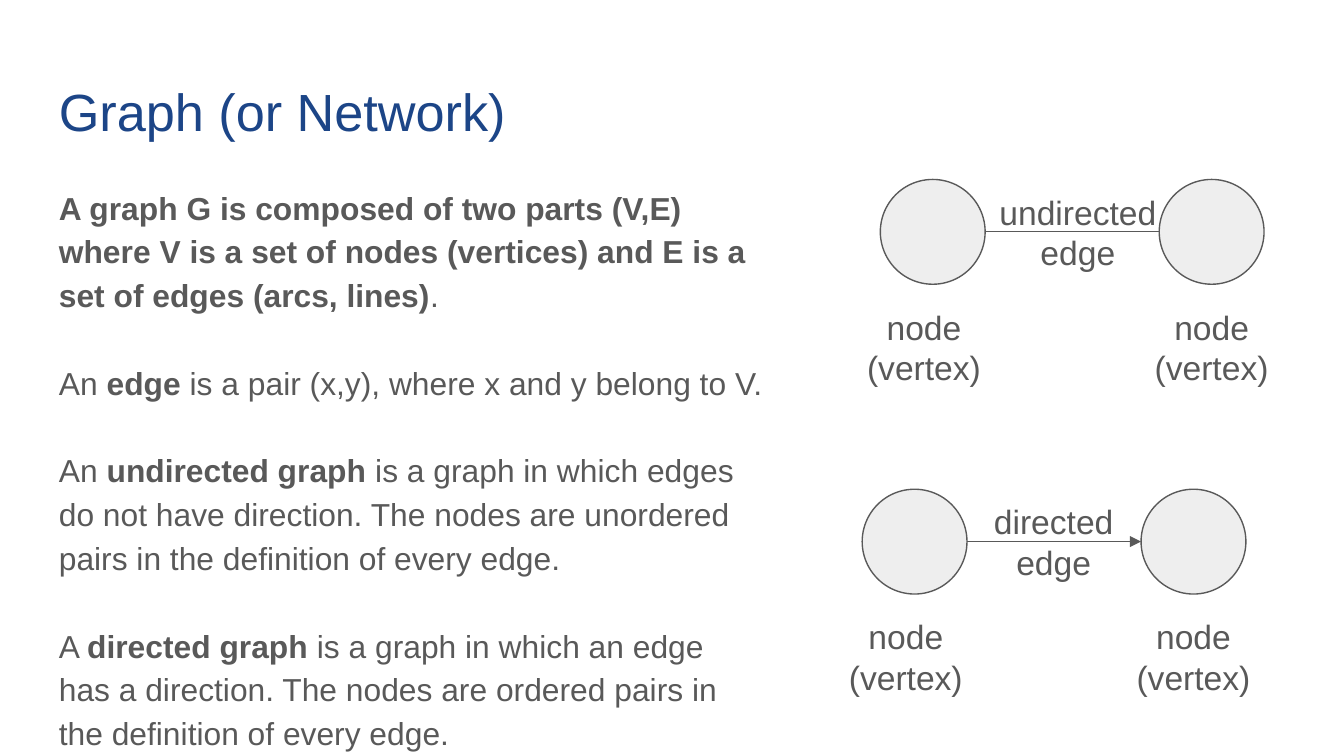
from pptx import Presentation
from pptx.dml.color import RGBColor
from pptx.enum.shapes import MSO_CONNECTOR as CONN, MSO_SHAPE as SHAPE
from pptx.enum.text import PP_ALIGN as ALIGN
from pptx.oxml.ns import qn
from pptx.util import Pt
from lxml.etree import SubElement

PX = 4572  # 200 px to the inch
GREY = "595959"


def rgb(value):
    return RGBColor.from_string(value)


def add_text(paras, x, y, w, h, size=18, color=GREY, align=ALIGN.LEFT,
             line=1.0, gap=0):
    """Each paragraph is a string; parts between asterisks are bold."""
    tf = s.shapes.add_textbox(x * PX, y * PX, w * PX, h * PX).text_frame
    tf.word_wrap = True
    tf.margin_left = tf.margin_right = 20 * PX
    tf.margin_top = tf.margin_bottom = 20 * PX
    for i, text in enumerate(paras):
        p = tf.paragraphs[0] if i == 0 else tf.add_paragraph()
        p.alignment = align
        p.line_spacing = line
        if i:
            p.space_before = Pt(gap)
        for j, part in enumerate(text.split("*")):
            if part:
                r = p.add_run()
                r.text = part
                r.font.name = "Arial"
                r.font.size = Pt(size)
                r.font.bold = j % 2 == 1
                r.font.color.rgb = rgb(color)


prs = Presentation()
prs.slide_width, prs.slide_height = 2000 * PX, 1125 * PX
s = prs.slides.add_slide(prs.slide_layouts[6])

# Title
add_text(["Graph (or Network)"], 68, 98, 1134, 126, size=28, color="1C4587")

# Definitions
add_text([
    "*A graph G is composed of two parts (V,E) where V is a set of nodes "
    "(vertices) and E is a set of edges (arcs, lines)*.",
    "An *edge *is a pair (x,y), where x and y belong to V.",
    "An *undirected graph* is a graph in which edges do not have direction. "
    "The nodes are unordered pairs in the definition of every edge.",
    "A *directed graph* is a graph in which an edge has a direction. "
    "The nodes are ordered pairs in the definition of every edge.",
], 68, 252, 1088, 748, size=17, line=1.15, gap=23.5)

# Example graphs: two nodes joined by an edge
NODE, STEP = 156, 415
for kind, x, y, label_x, label_w in [("undirected", 1310, 267, 1457, 294),
                                     ("directed", 1283, 728, 1439, 258)]:
    # Nodes and their labels
    for node_x, text_x in [(x, x - 54), (x + STEP, x + 374)]:
        sp = s.shapes.add_shape(SHAPE.OVAL, node_x * PX, y * PX,
                                NODE * PX, NODE * PX)
        sp.shadow.inherit = False
        sp.fill.solid()
        sp.fill.fore_color.rgb = rgb("EEEEEE")
        sp.line.color.rgb = rgb(GREY)
        sp.line.width = Pt(0.75)
        add_text(["node", "(vertex)"], text_x, y + 169, 238, 162,
                 align=ALIGN.CENTER)

    # Edge
    mid = (y + NODE // 2) * PX
    edge = s.shapes.add_connector(CONN.STRAIGHT, (x + NODE) * PX, mid,
                                  (x + STEP) * PX, mid)
    edge.line.color.rgb = rgb(GREY)
    edge.line.width = Pt(0.75)
    if kind == "directed":
        SubElement(edge.line._get_or_add_ln(), qn("a:tailEnd"),
                   type="triangle")
    SubElement(edge._element.spPr, qn("a:effectLst"))
    add_text([f"{kind} edge"], label_x, y - 2, label_w, 162,
             align=ALIGN.CENTER)

prs.save("out.pptx")
